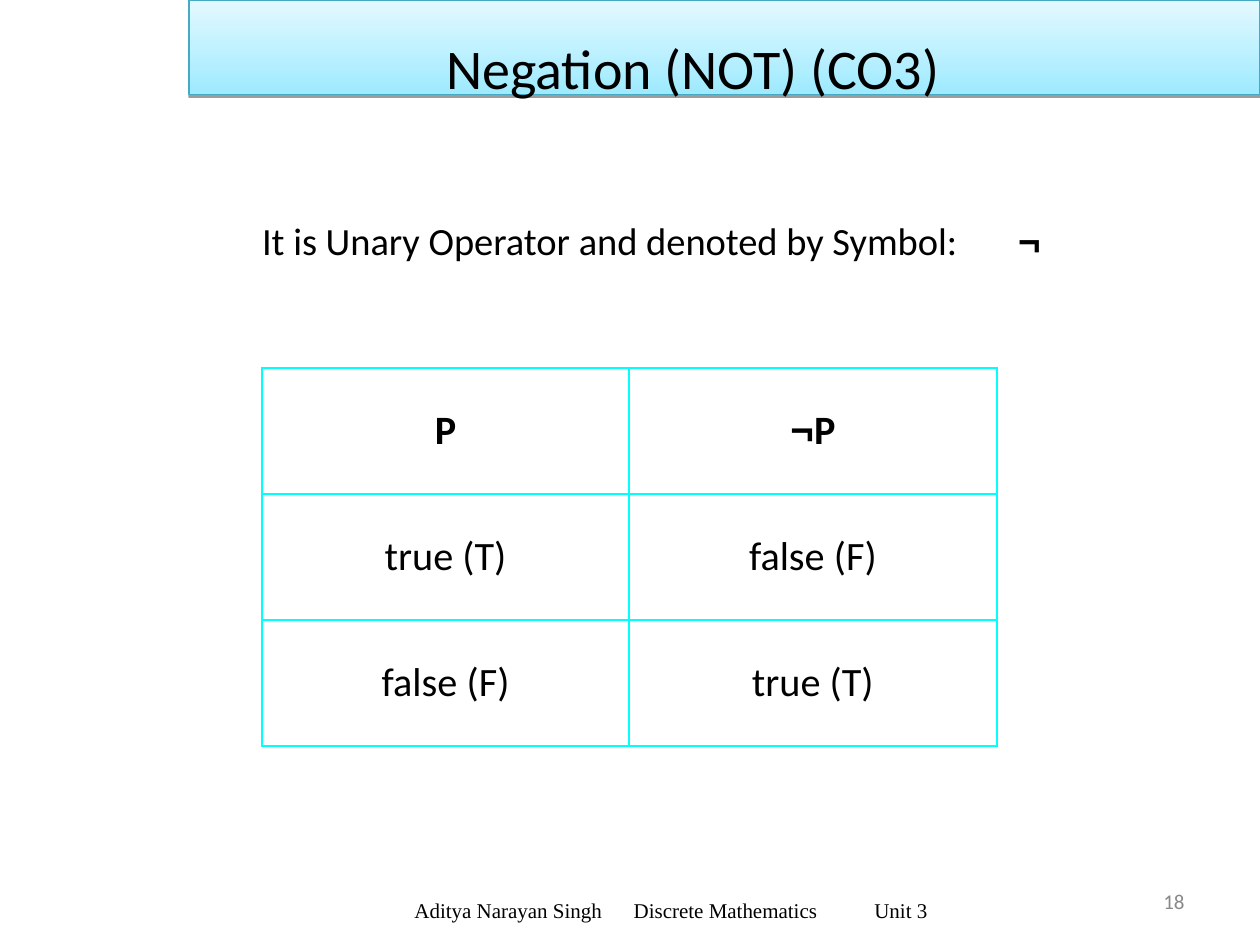
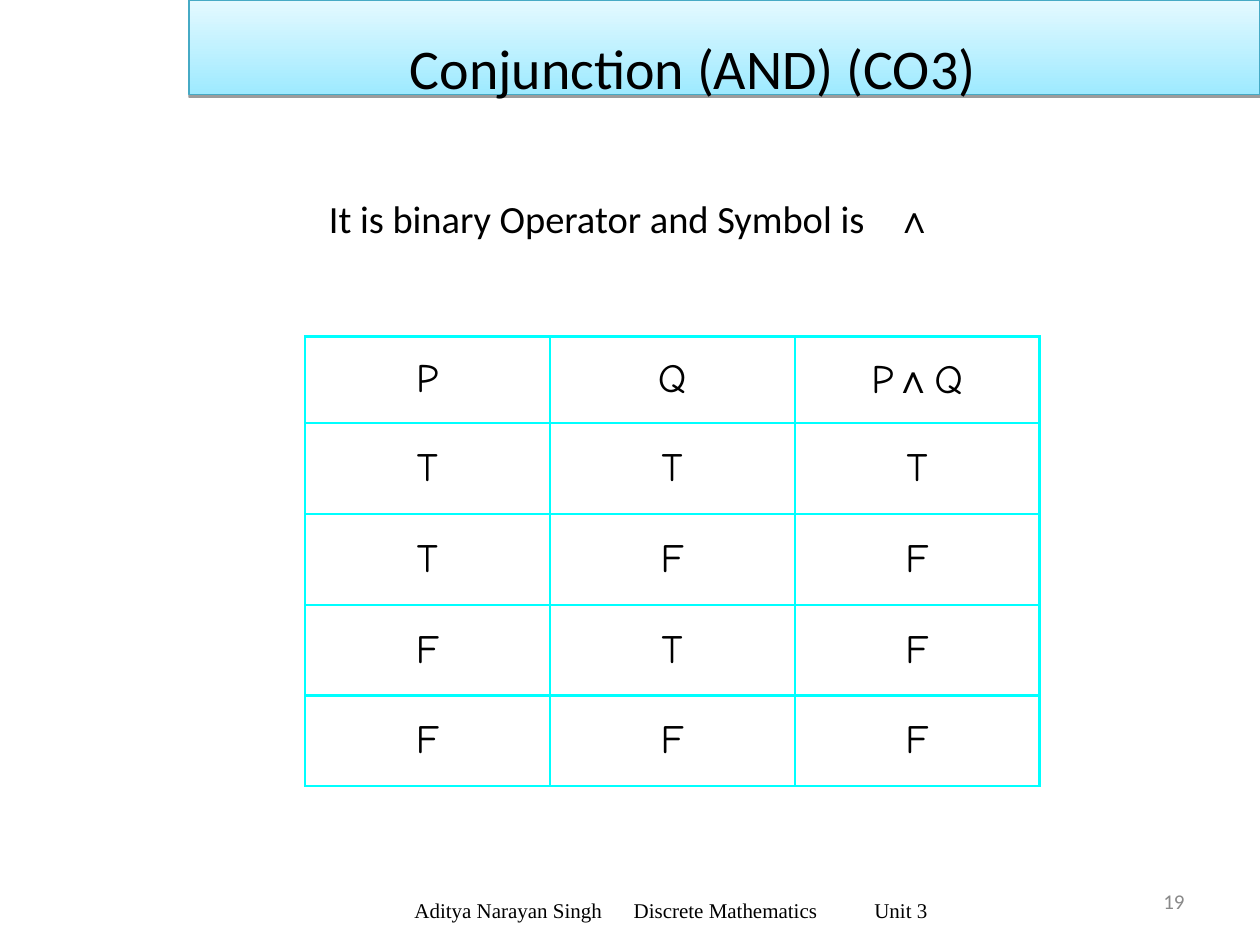
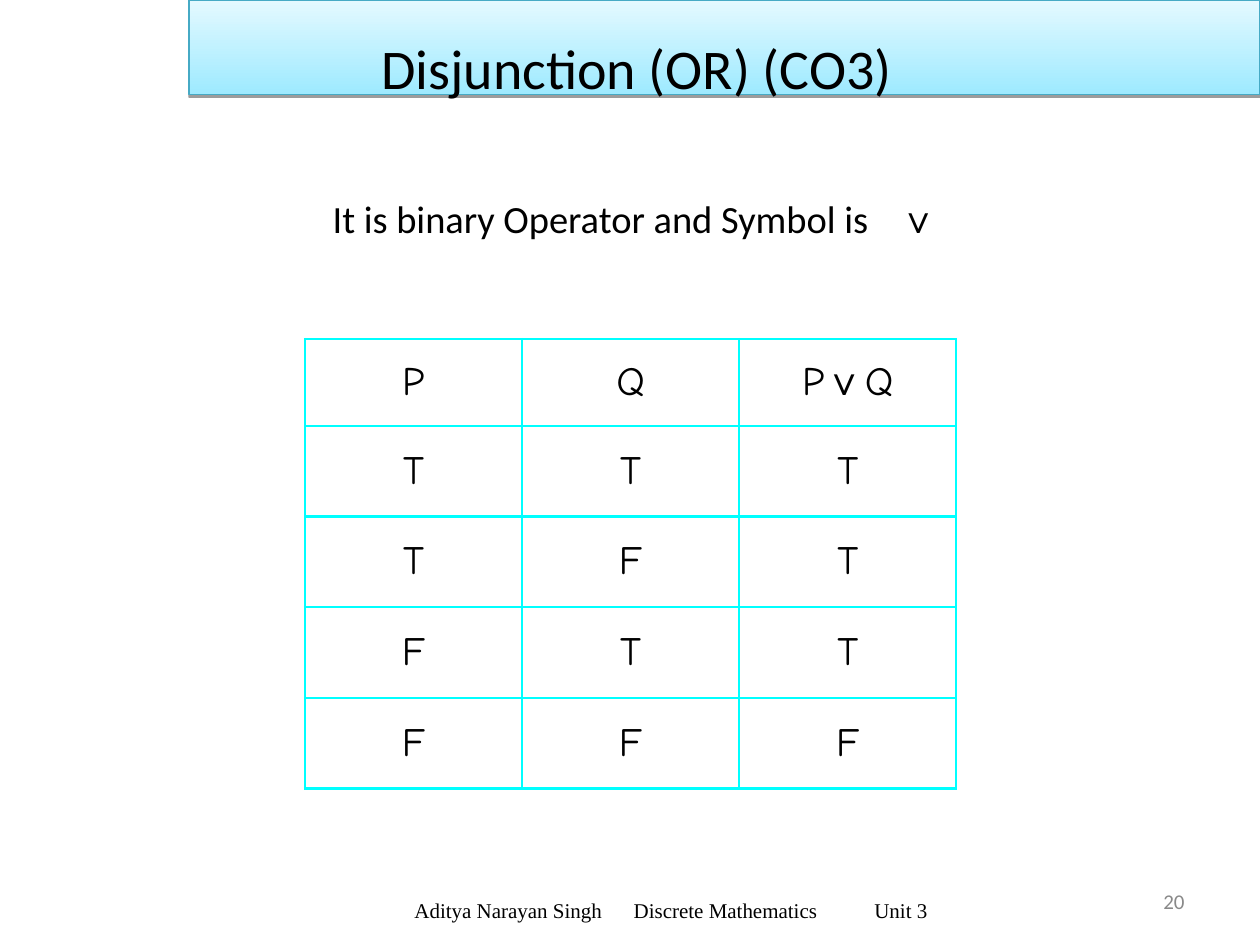
from dataclasses import dataclass

from lxml import etree
from pptx import Presentation
from pptx.dml.color import RGBColor
from pptx.enum.shapes import MSO_SHAPE
from pptx.enum.text import MSO_ANCHOR, MSO_AUTO_SIZE, PP_ALIGN
from pptx.oxml.ns import qn
from pptx.util import Inches, Pt

RECT = MSO_SHAPE.RECTANGLE
LEFT, CENTER, RIGHT = PP_ALIGN.LEFT, PP_ALIGN.CENTER, PP_ALIGN.RIGHT
TOP, MIDDLE = MSO_ANCHOR.TOP, MSO_ANCHOR.MIDDLE
NO_FIT = MSO_AUTO_SIZE.NONE


@dataclass(frozen=True)
class Theme:
    font: str = "Calibri"
    symbol_font: str = "Arial"
    table_font: str = "Comic Neue"
    footer_font: str = "Times New Roman"
    title_size: float = 32
    body_size: float = 22
    cell_size: float = 23
    small_size: float = 12
    text: str = "000000"
    muted: str = "898989"
    white: str = "FFFFFF"
    grid: str = "00FFFF"
    band_low: str = "9EEAFF"
    band_high: str = "E4F9FF"
    band_line: str = "46AAC5"


THEME = Theme()
FIRST_PAGE = 18
FOOTER = ["Aditya Narayan Singh", "Discrete Mathematics", "Unit 3"]
SYMBOLS = "¬∧∨"


def rgb(value):
    return RGBColor.from_string(value)


def add_run(p, text, size, font=THEME.font, color=THEME.text, bold=False):
    r = p.add_run()
    r.text = text
    r.font.size = Pt(size)
    r.font.name = font
    r.font.color.rgb = rgb(color)
    r.font.bold = bold


def place(sp, left, top, width, height):
    sp.left, sp.top = Inches(left), Inches(top)
    sp.width, sp.height = Inches(width), Inches(height)


def format_frame(tf, align, anchor=MIDDLE, margin_left=0.1):
    tf.word_wrap = True
    tf.auto_size = NO_FIT
    tf.vertical_anchor = anchor
    tf.margin_left = Inches(margin_left)
    p = tf.paragraphs[0]
    p.alignment = align
    return p


def set_tabs(p, *stops):
    tabs = etree.SubElement(p._p.get_or_add_pPr(), qn("a:tabLst"))
    for stop in stops:
        etree.SubElement(tabs, qn("a:tab"), pos=str(Inches(stop)), algn="l")


def add_band(s):
    band = s.shapes.add_shape(RECT, Inches(1.5), 0, Inches(8.5), Inches(0.75))
    band.fill.gradient()
    band.fill.gradient_angle = 90
    for stop, color in zip(band.fill.gradient_stops, (THEME.band_low, THEME.band_high)):
        stop.color.rgb = rgb(color)
    band.line.color.rgb = rgb(THEME.band_line)
    band.line.width = Pt(0.75)
    band.shadow.inherit = False
    effects = band.element.spPr.find(qn("a:effectLst"))
    shadow = etree.SubElement(effects, qn("a:outerShdw"), blurRad="0",
                              dist=str(Pt(1.6)), dir="5400000", rotWithShape="0")
    color = etree.SubElement(shadow, qn("a:srgbClr"), val=THEME.text)
    etree.SubElement(color, qn("a:alpha"), val="38000")
    band.element.getparent().insert(2, band.element)


def add_title(s, text, margin_left):
    sp = s.shapes.title
    place(sp, 0.75, 0, 8.5, 0.92)
    p = format_frame(sp.text_frame, CENTER, margin_left=margin_left)
    sp.text_frame.margin_top = Inches(0.19)
    add_run(p, text, THEME.title_size)


def add_statement(s, text, symbol, top, text_x, symbol_x, bold):
    left = 0.58
    sp = s.placeholders[1]
    place(sp, left, top, 8.83, 0.92)
    p = format_frame(sp.text_frame, LEFT, TOP, text_x - left)
    pPr = p._p.get_or_add_pPr()
    pPr.set("marL", "0")
    pPr.set("indent", "0")
    etree.SubElement(pPr, qn("a:buNone"))
    set_tabs(p, symbol_x - text_x)
    p.space_before = Pt(0)
    add_run(p, text + "\t", THEME.body_size)
    add_run(p, symbol, THEME.body_size, THEME.symbol_font, bold=bold)


def set_borders(cell):
    tcPr = cell._tc.get_or_add_tcPr()
    for i, side in enumerate(("a:lnL", "a:lnR", "a:lnT", "a:lnB")):
        ln = etree.Element(qn(side), w=str(Pt(1.5)))
        fill = etree.SubElement(ln, qn("a:solidFill"))
        etree.SubElement(fill, qn("a:srgbClr"), val=THEME.grid)
        tcPr.insert(i, ln)


def add_truth_table(s, rows, left, top, width, heights, font, bold_header, bold_symbol):
    cols = len(rows[0])
    frame = s.shapes.add_table(len(rows), cols, Inches(left), Inches(top),
                               Inches(width), Inches(sum(heights)))
    table = frame.table
    table.first_row = table.horz_banding = False
    for col in table.columns:
        col.width = Inches(width / cols)
    for i, (values, height) in enumerate(zip(rows, heights)):
        table.rows[i].height = Inches(height)
        for j, runs in enumerate(values):
            cell = table.cell(i, j)
            cell.fill.solid()
            cell.fill.fore_color.rgb = rgb(THEME.white)
            cell.vertical_anchor = MIDDLE
            set_borders(cell)
            p = cell.text_frame.paragraphs[0]
            p.alignment = CENTER
            for text in runs:
                is_symbol = text in SYMBOLS
                bold = bold_symbol if is_symbol else bold_header and i == 0
                add_run(p, text, THEME.cell_size,
                        THEME.symbol_font if is_symbol else font, bold=bold)


def add_footer(s, page):
    box = s.shapes.add_textbox(Inches(7.17), Inches(6.95), Inches(2.33), Inches(0.4))
    p = format_frame(box.text_frame, RIGHT)
    add_run(p, str(page), THEME.small_size, color=THEME.muted)
    box = s.shapes.add_textbox(Inches(2.58), Inches(7.02), Inches(5.5), Inches(0.4))
    p = format_frame(box.text_frame, LEFT, margin_left=0.71)
    set_tabs(p, 1.74, 3.65)
    add_run(p, "\t".join(FOOTER), THEME.small_size, THEME.footer_font)


def binary_rows(symbol, results):
    inputs = ("TT", "TF", "FT", "FF")
    return [["P", "Q", ["P", symbol, "Q"]]] + [[*pq, out] for pq, out in zip(inputs, results)]


def main():
    prs = Presentation()
    prs.slide_width, prs.slide_height = Inches(10), Inches(7.5)
    binary_text = "It is binary Operator and Symbol is"
    binary_heights = [0.69] + [0.72] * 4
    negation_rows = [["P", ["¬", "P"]],
                     [["true (T)"], ["false (F)"]],
                     [["false (F)"], ["true (T)"]]]
    slides = [
        (("Negation (NOT) (CO3)", 1.1),
         ("It is Unary Operator and denoted by Symbol:", "¬", 1.67, 2.08, 7.73, True),
         (negation_rows, 2.08, 2.92, 5.83, [1] * 3, THEME.font, True, True)),
        (("Conjunction (AND) (CO3)", 1.1),
         (binary_text, "∧", 1.5, 2.61, 7.07, True),
         (binary_rows("∧", "TFFF"), 2.42, 2.67, 5.83, binary_heights,
          THEME.table_font, False, False)),
        (("Disjunction (OR) (CO3)", 0.21),
         (binary_text, "∨", 1.5, 2.64, 7.04, False),
         (binary_rows("∨", "TTTF"), 2.42, 2.69, 5.17, binary_heights,
          THEME.table_font, False, True)),
    ]
    for page, (title, statement, table) in enumerate(slides, FIRST_PAGE):
        s = prs.slides.add_slide(prs.slide_layouts[1])
        add_band(s)
        add_title(s, *title)
        add_statement(s, *statement)
        add_truth_table(s, *table)
        add_footer(s, page)
    prs.save("out.pptx")


if __name__ == "__main__":
    main()
